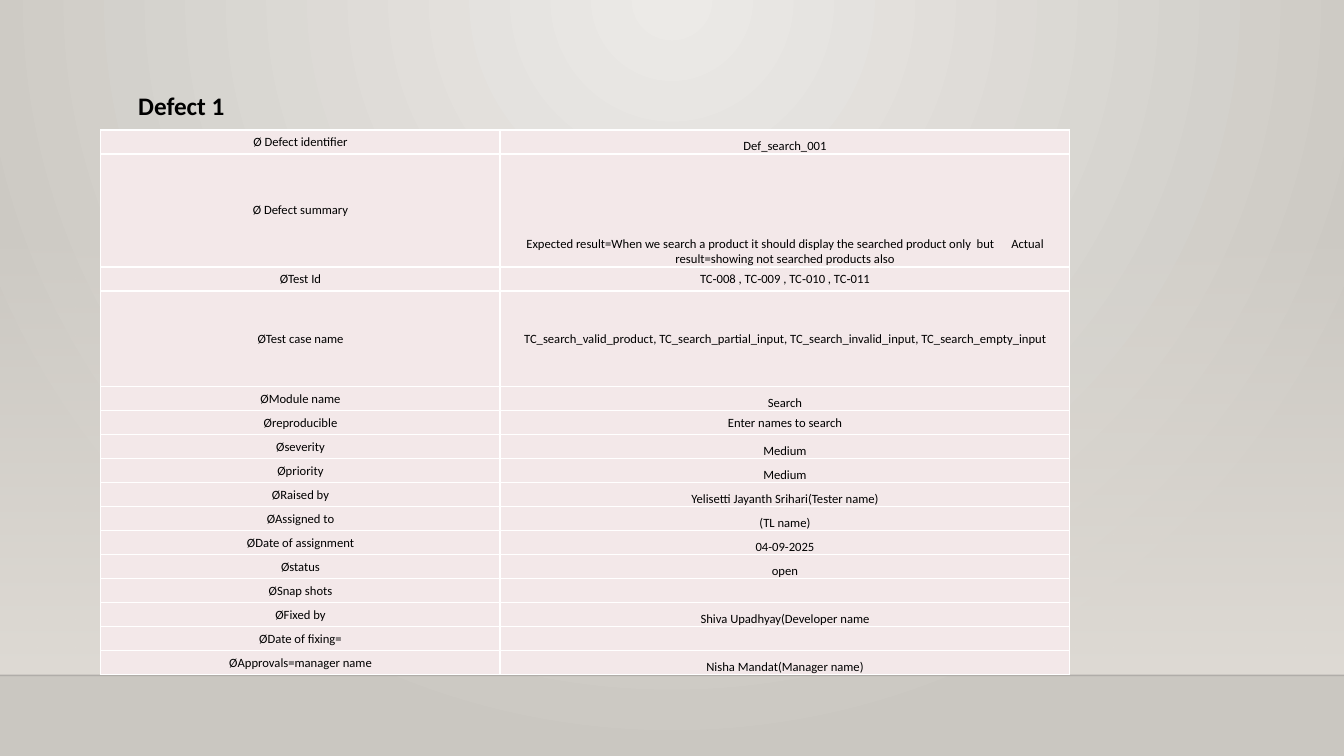
import pptx
import pptx.util
import pptx.dml.color
import pptx.enum.shapes
import pptx.enum.text
import pptx.oxml
import pptx.oxml.ns
from lxml import etree

Inches = pptx.util.Inches
Anchor = pptx.enum.text.MSO_ANCHOR
Align = pptx.enum.text.PP_ALIGN
qn = pptx.oxml.ns.qn

COLORS = {
    "glow": "ECEAE7",
    "edge": "CAC7C1",
    "wall": "DFDBD5",
    "floor": "000001",
    "cell": "F3E8E9",
    "border": "FFFFFF",
    "text": "000000",
}

DEFECT = [
    ("Ø Defect identifier", "Def_search_001", Anchor.BOTTOM),
    ("Ø Defect summary",
     "Expected result=When we search a product it should display the searched "
     "product only  but      Actual result=showing not searched products also",
     Anchor.BOTTOM),
    ("ØTest Id", "TC‑008 , TC‑009 , TC‑010 , TC‑011", Anchor.MIDDLE),
    ("ØTest case name",
     "TC_search_valid_product, TC_search_partial_input, "
     "TC_search_invalid_input, TC_search_empty_input", Anchor.MIDDLE),
    ("ØModule name", "Search", Anchor.BOTTOM),
    ("Øreproducible", "Enter names to search", Anchor.MIDDLE),
    ("Øseverity", "Medium", Anchor.BOTTOM),
    ("Øpriority", "Medium", Anchor.BOTTOM),
    ("ØRaised by", "Yelisetti Jayanth Srihari(Tester name)", Anchor.BOTTOM),
    ("ØAssigned to", "(TL name)", Anchor.BOTTOM),
    ("ØDate of assignment", "04-09-2025", Anchor.BOTTOM),
    ("Østatus", "open", Anchor.BOTTOM),
    ("ØSnap shots", "", Anchor.MIDDLE),
    ("ØFixed by", "Shiva Upadhyay(Developer name", Anchor.BOTTOM),
    ("ØDate of fixing=", "", Anchor.MIDDLE),
    ("ØApprovals=manager name", "Nisha Mandat(Manager name)", Anchor.BOTTOM),
]
TALL_ROWS = {1: 1.12, 3: 0.95}
TABLE_HEIGHT = 5.41


def rgb(name):
    return pptx.dml.color.RGBColor.from_string(COLORS[name])


def write(para, text, size=9, bold=False, align=Align.CENTER, color="text"):
    para.alignment = align
    if not text:
        etree.SubElement(para._p, qn("a:endParaRPr"), sz=str(size * 100))
        return
    span = para.add_run()
    span.text = text
    span.font.name = "Calibri"
    span.font.size = pptx.util.Pt(size)
    span.font.bold = bold
    span.font.color.rgb = rgb(color)


def set_alpha(element, percent):
    color = element.find(".//" + qn("a:srgbClr"))
    etree.SubElement(color, qn("a:alpha"), val=str(percent * 1000))


class DefectPage:
    def __init__(self, deck):
        self.page = deck.slides.add_slide(deck.slide_layouts[5])
        self.shapes = self.page.shapes

    def gradient(self, fill, first, last):
        fill.gradient()
        for stop, name, position in zip(fill.gradient_stops, (first, last), (0, 1)):
            stop.color.rgb = rgb(name)
            stop.position = position

    def background(self):
        self.gradient(self.page.background.fill, "glow", "edge")
        grad = self.page._element.find(".//" + qn("p:bgPr") + "/" + qn("a:gradFill"))
        grad.remove(grad.find(qn("a:lin")))
        circle = etree.SubElement(grad, qn("a:path"), path="circle")
        etree.SubElement(circle, qn("a:fillToRect"), l="43000", t="0", r="43000", b="100000")

    def wall(self, top, height):
        box = self.shapes.add_shape(
            pptx.enum.shapes.MSO_SHAPE.RECTANGLE,
            0, Inches(top), Inches(13.33), Inches(height))
        box.shadow.inherit = False
        box.line.fill.background()
        self.gradient(box.fill, "wall", "wall")
        box.fill.gradient_angle = 270
        set_alpha(box._element.spPr, 0)

    def floor_line(self, top):
        line = self.shapes.add_connector(
            pptx.enum.shapes.MSO_CONNECTOR.STRAIGHT,
            0, Inches(top), Inches(13.33), Inches(top))
        line.line.color.rgb = rgb("floor")
        line.line.width = pptx.util.Pt(1)
        set_alpha(line._element.spPr, 20)
        etree.SubElement(line._element.spPr, qn("a:effectLst"))

    def title(self, text, left, top, width, height):
        box = self.shapes.title
        box.left, box.top = Inches(left), Inches(top)
        box.width, box.height = Inches(width), Inches(height)
        frame = box.text_frame
        frame.word_wrap = True
        frame.vertical_anchor = Anchor.TOP
        frame.auto_size = pptx.enum.text.MSO_AUTO_SIZE.SHAPE_TO_FIT_TEXT
        write(frame.paragraphs[0], text, size=18, bold=True, align=Align.LEFT)

    def cell(self, cell, text, anchor):
        cell.margin_left = cell.margin_right = 0
        cell.margin_top = cell.margin_bottom = 0
        cell.vertical_anchor = anchor
        properties = cell._tc.get_or_add_tcPr()
        for side in ("lnL", "lnR", "lnT", "lnB"):
            border = etree.SubElement(properties, qn("a:" + side), w="12700")
            solid = etree.SubElement(border, qn("a:solidFill"))
            etree.SubElement(solid, qn("a:srgbClr"), val=COLORS["border"])
        cell.fill.solid()
        cell.fill.fore_color.rgb = rgb("cell")
        write(cell.text_frame.paragraphs[0], text)

    def table(self, rows, left, top, widths):
        table = self.shapes.add_table(
            len(rows), len(widths), Inches(left), Inches(top),
            Inches(sum(widths)), Inches(TABLE_HEIGHT)).table
        table.first_row = table.horz_banding = False
        for column, width in zip(table.columns, widths):
            column.width = Inches(width)
        plain = (TABLE_HEIGHT - sum(TALL_ROWS.values())) / (len(rows) - len(TALL_ROWS))
        for index, (label, value, anchor) in enumerate(rows):
            table.rows[index].height = Inches(TALL_ROWS.get(index, plain))
            self.cell(table.cell(index, 0), label, Anchor.MIDDLE)
            self.cell(table.cell(index, 1), value, anchor)


def main():
    deck = pptx.Presentation()
    deck.slide_width, deck.slide_height = Inches(13.33), Inches(7.5)
    page = DefectPage(deck)
    page.background()
    page.wall(2.21, 4.49)
    page.floor_line(6.7)
    page.table(DEFECT, 1, 1.29, (3.96, 5.65))
    page.title("Defect 1", 1.27, 0.85, 4.34, 0.4)
    deck.save("out.pptx")


if __name__ == "__main__":
    main()
